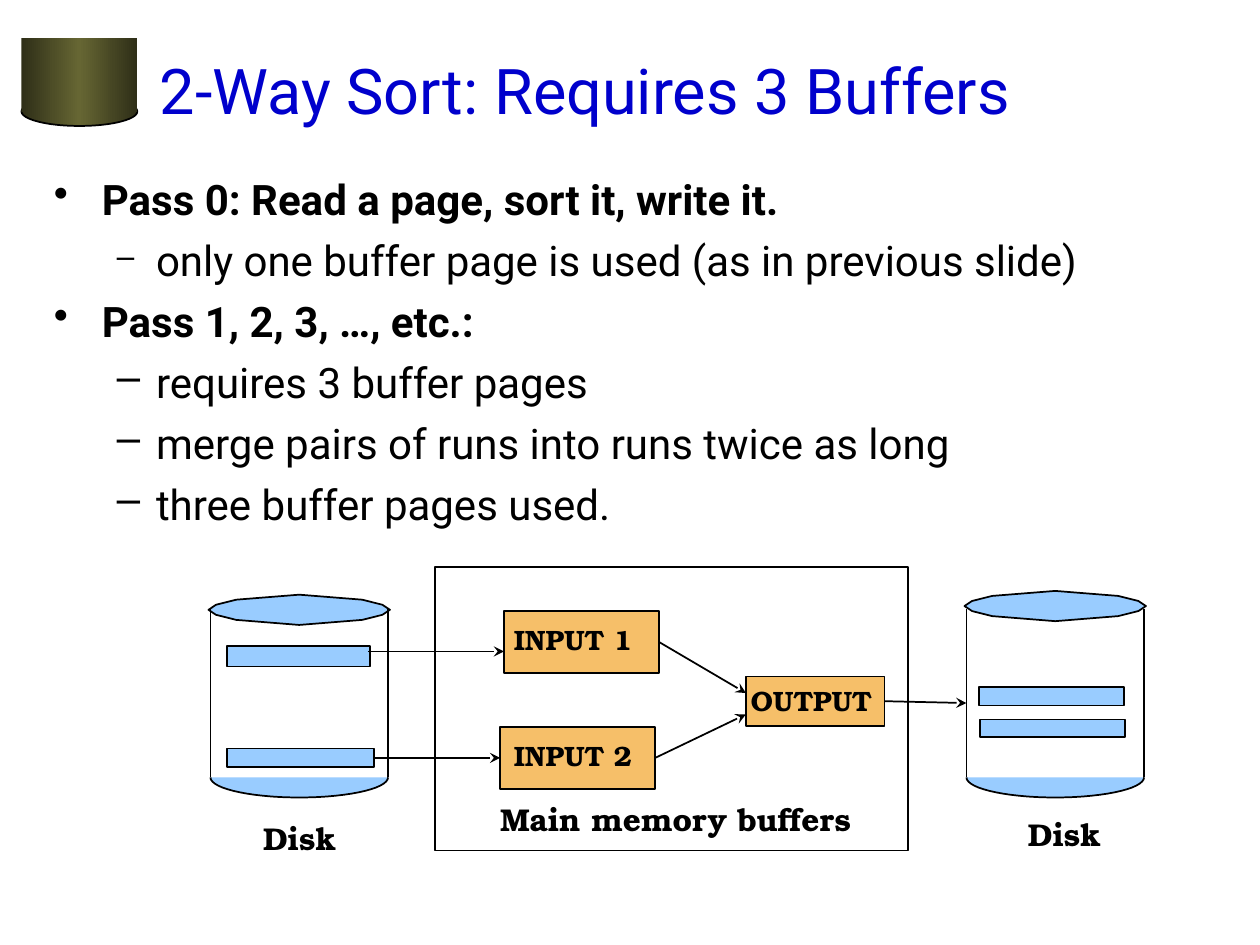
import copy
import math
import pptx
import pptx.util
import pptx.dml.color
import pptx.enum.shapes
import pptx.enum.text
import pptx.oxml
import pptx.oxml.ns
from pptx.util import Inches

RGBColor = pptx.dml.color.RGBColor
MSO_SHAPE = pptx.enum.shapes.MSO_SHAPE
qn = pptx.oxml.ns.qn

BLACK = RGBColor(0x00, 0x00, 0x00)
TITLE_BLUE = RGBColor(0x00, 0x00, 0xCC)
DISK_BLUE = RGBColor(0x99, 0xCC, 0xFF)
BUFFER_ORANGE = RGBColor(0xF6, 0xBF, 0x69)
OLIVE_DARK = RGBColor(0x2F, 0x2F, 0x18)
OLIVE = RGBColor(0x66, 0x66, 0x33)

prs = pptx.Presentation()
prs.slide_width = Inches(10)
prs.slide_height = Inches(7.5)
s = prs.slides.add_slide(prs.slide_layouts[6])


def style(sp, fill):
    sp.shadow.inherit = False
    if fill is None:
        sp.fill.background()
    else:
        sp.fill.solid()
        sp.fill.fore_color.rgb = fill
    sp.line.color.rgb = BLACK
    sp.line.width = pptx.util.Pt(1)
    return sp


def add_run(p, text, size, font, color, bold):
    r = p.add_run()
    r.text = text
    r.font.size = pptx.util.Pt(size)
    r.font.name = font
    r.font.color.rgb = color
    r.font.bold = bold


for kind, top, height in [(MSO_SHAPE.OVAL, 0.77, 0.23), (MSO_SHAPE.RECTANGLE, 0.3, 0.59)]:
    sp = style(s.shapes.add_shape(kind, Inches(0.17), Inches(top), Inches(0.92), Inches(height)), None)
    sp.fill.gradient()
    sp.fill.gradient_angle = 0
    stops = sp._element.spPr.find(qn("a:gradFill")).find(qn("a:gsLst"))
    stops.append(copy.deepcopy(stops[1]))
    for stop, position, color in zip(sp.fill.gradient_stops, (0, 0.5, 1), (OLIVE_DARK, OLIVE, OLIVE_DARK)):
        stop.position = position
        stop.color.rgb = color
    if kind == MSO_SHAPE.RECTANGLE:
        sp.line.fill.background()

tf = s.shapes.add_textbox(Inches(1.17), Inches(0.08), Inches(8.5), Inches(1.25)).text_frame
tf.word_wrap = True
tf.vertical_anchor = pptx.enum.text.MSO_ANCHOR.MIDDLE
add_run(tf.paragraphs[0], "2-Way Sort: Requires 3 Buffers", 36, "Roboto", TITLE_BLUE, False)

tf = s.shapes.add_textbox(Inches(0.33), Inches(1.33), Inches(9.58), Inches(5.17)).text_frame
tf.word_wrap = True
bullets = [
    (0, 100, "Pass 0: Read a page, sort it, write it."),
    (1, 75, "only one buffer page is used (as in previous slide)"),
    (0, 100, "Pass 1, 2, 3, …, etc.:"),
    (1, 100, "requires 3 buffer pages"),
    (1, 100, "merge pairs of runs into runs twice as long"),
    (1, 100, "three buffer pages used."),
]
for i, (level, bullet_size, text) in enumerate(bullets):
    p = tf.add_paragraph() if i else tf.paragraphs[0]
    p.level = level
    p.space_before = pptx.util.Pt(6)
    pPr = p._p.get_or_add_pPr()
    pPr.set("marL", str(Inches((0.38, 0.81)[level])))
    pPr.set("indent", str(Inches((-0.38, -0.31)[level])))
    color = pptx.oxml.parse_xml(
        '<a:buClr xmlns:a="http://schemas.openxmlformats.org/drawingml/2006/main">'
        '<a:srgbClr val="000000"/></a:buClr>')
    pPr.append(color)
    pPr.makeelement
    for tag, attr, value in [("a:buSzPct", "val", str(bullet_size * 1000)), ("a:buChar", "char", "•–"[level])]:
        pPr.append(pptx.oxml.ns and pPr.makeelement(qn(tag), {attr: value}))
    add_run(p, text, 24, "Roboto", BLACK, level == 0)

rects = {}
for name, x, y, w, h, fill in [
    ("left run 1", 1.8, 5.13, 1.14, 0.16, DISK_BLUE),
    ("left run 2", 1.8, 5.94, 1.17, 0.15, DISK_BLUE),
    ("right run 1", 7.77, 5.45, 1.15, 0.15, DISK_BLUE),
    ("right run 2", 7.78, 5.71, 1.15, 0.14, DISK_BLUE),
    ("input 1", 4, 4.85, 1.23, 0.49, BUFFER_ORANGE),
    ("output", 5.92, 5.37, 1.1, 0.39, BUFFER_ORANGE),
    ("input 2", 3.97, 5.77, 1.23, 0.49, BUFFER_ORANGE),
    ("main memory", 3.45, 4.5, 3.76, 2.25, None),
]:
    sp = s.shapes.add_shape(MSO_SHAPE.RECTANGLE, Inches(x), Inches(y), Inches(w), Inches(h))
    rects[name] = style(sp, fill)

for text, x, y, w, h, size in [
    ("Main memory buffers", 3.87, 6.3, 2.99, 0.4, 18),
    ("INPUT 1", 3.98, 4.89, 1.14, 0.36, 16),
    ("INPUT 2", 3.98, 5.81, 1.14, 0.36, 16),
    ("OUTPUT", 5.86, 5.38, 1.16, 0.36, 16),
    ("Disk", 8.06, 6.42, 0.78, 0.4, 18),
    ("Disk", 1.99, 6.45, 0.78, 0.4, 18),
]:
    tf = s.shapes.add_textbox(Inches(x), Inches(y), Inches(w), Inches(h)).text_frame
    tf.word_wrap = False
    add_run(tf.paragraphs[0], text, size, "TeX Gyre Bonum", BLACK, True)

lines = []
lid = [(0.72, 0), (0.66, 0.04), (0.5, 0.08), (0, 0.12), (-0.5, 0.08), (-0.66, 0.04),
       (-0.72, 0), (-0.66, -0.04), (-0.5, -0.08), (0, -0.12), (0.5, -0.08), (0.66, -0.04)]
for left, right, lid_y in [(1.67, 3.08, 4.84), (7.67, 9.08, 4.81)]:
    mid = (left + right) / 2
    top = [(mid + dx, lid_y + dy) for dx, dy in lid]
    angles = [math.radians(a) for a in range(0, 181, 6)]
    base = [(mid + (right - left) / 2 * math.cos(a), 6.17 + 0.16 * math.sin(a)) for a in angles]
    for points, closed in [(top, True), (base, False)]:
        points = [(Inches(x), Inches(y)) for x, y in points]
        fb = s.shapes.build_freeform(*points[0])
        fb.add_line_segments(points[1:], close=closed)
        style(fb.convert_to_shape(), DISK_BLUE)
    lines += [(x, 4.83, x, 6.17, None, None, False) for x in (left, right)]

lines += [
    (2.92, 5.17, 4, 5.17, None, None, True),
    (2.92, 6, 4, 6, "left run 2", "input 2", True),
    (5.25, 5.08, 5.92, 5.5, "input 1", None, True),
    (5.25, 6, 5.92, 5.67, "input 2", None, True),
    (7, 5.58, 7.67, 5.58, "output", None, True),
]
for x1, y1, x2, y2, source, target, arrow in lines:
    c = s.shapes.add_connector(
        pptx.enum.shapes.MSO_CONNECTOR.STRAIGHT, Inches(x1), Inches(y1), Inches(x2), Inches(y2))
    if source:
        c.begin_connect(rects[source], 3)
    if target:
        c.end_connect(rects[target], 1)
    c.line.color.rgb = BLACK
    c.line.width = pptx.util.Pt(1)
    if arrow:
        ln = c.line._get_or_add_ln()
        ln.append(ln.makeelement(qn("a:tailEnd"), {"type": "stealth"}))
    spPr = c._element.spPr
    spPr.append(spPr.makeelement(qn("a:effectLst"), {}))

prs.save("out.pptx")
